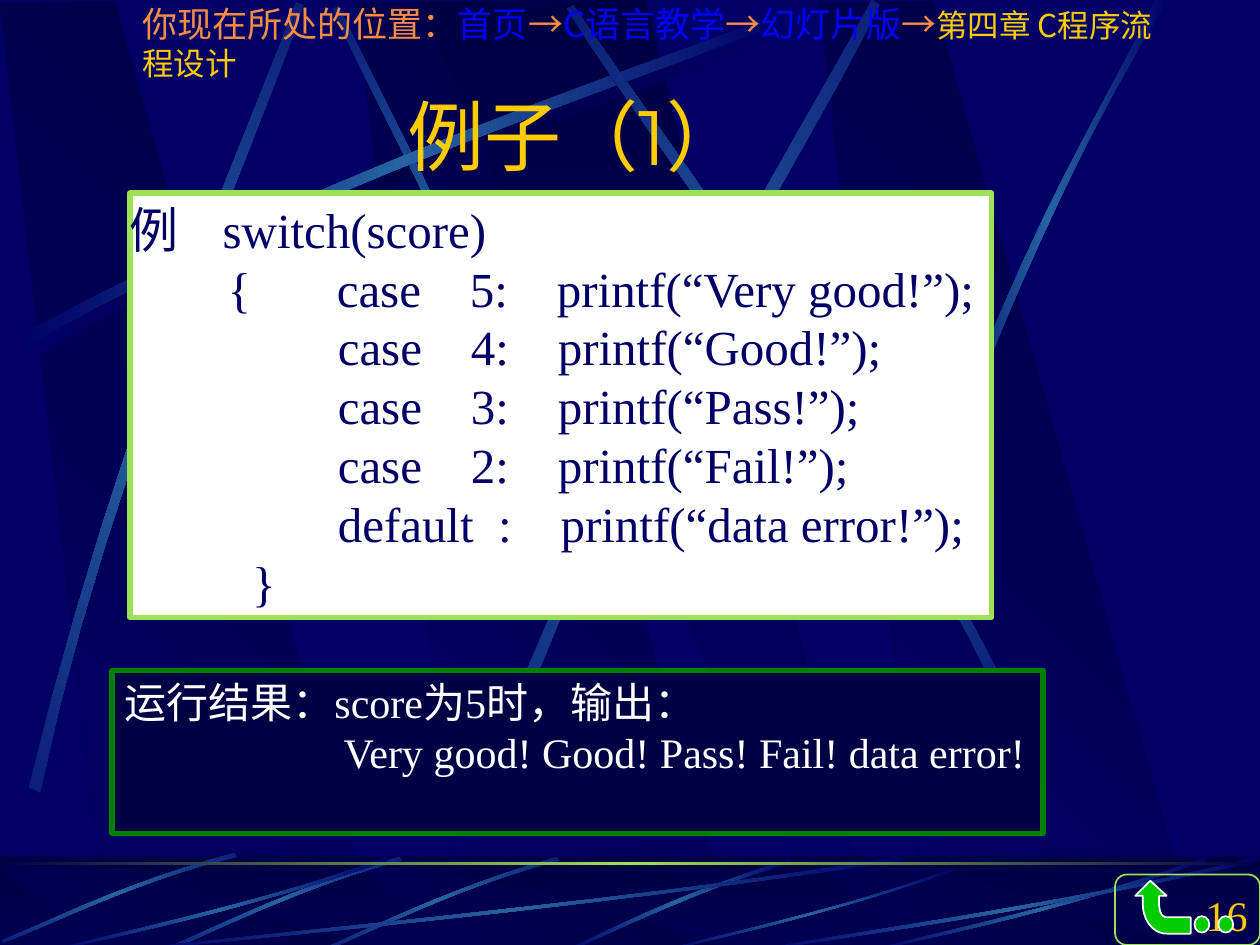
import math

import pptx
import pptx.dml.color
import pptx.enum.shapes
import pptx.enum.text
import pptx.oxml.ns
import pptx.util
from lxml import etree

Cm = pptx.util.Cm
Pt = pptx.util.Pt
qn = pptx.oxml.ns.qn
KIND = pptx.enum.shapes.MSO_SHAPE
ALIGN = pptx.enum.text.PP_ALIGN
ANCHOR = pptx.enum.text.MSO_ANCHOR

NAVY, DARK, BLUE = "000066", "000044", "2663A0"
GOLD, LIME, GREEN, WHITE = "FFCC00", "9CE157", "00CC00", "FFFFFF"
ORANGE, LINK = "F98D43", "0000FF"
SANS, SERIF = "Noto Sans CJK SC", "Times New Roman"
FADE, GLOW, SHADE = [DARK, NAVY], [NAVY, BLUE, NAVY], [NAVY, DARK, NAVY]

CRUMBS = [
    ("你现在所处的位置：", ORANGE, 20), ("首页", LINK, 20), ("→", ORANGE, 20),
    ("C语言教学", LINK, 20), ("→", ORANGE, 20), ("幻灯片版", LINK, 20),
    ("→", ORANGE, 20), ("第四章 C程序流程设计", GOLD, 18),
]
CODE = [
    "例    switch(score)",
    "        {       case    5:    printf(“Very good!”);",
    "                 case    4:    printf(“Good!”);",
    "                 case    3:    printf(“Pass!”);",
    "                 case    2:    printf(“Fail!”);",
    "                 default  :    printf(“data error!”);",
    "          }",
]
RESULT = ["运行结果：score为5时，输出：", "Very good! Good! Pass! Fail! data error!"]

# Outlines are in inches: a pair is a corner, six numbers are a curve.
BAND_X = [2.83, 0, 6.5]
BAND = [(0.86, 7.51), (3.02, 7.53), (0.91, 0.01), (0, 0.02)]
BEAM = [(3.33, 0.01), (6.58, 7.51), (6.94, 7.51), (5.13, 0)]
LOW_BAND = [(0.86, 7.54), (3.02, 7.55), (0.91, 6.88), (0, 6.88)]
LOW_BEAM = [(3.33, 6.88), (6.58, 7.54), (6.94, 7.54), (5.13, 6.88)]
RAYS = [  # colours, turn, outline
    (SHADE, 0, [(0.2, 2.75), (2.84, 1.34, 5.24, 0.59, 6.26, 0.18),
                (6.29, 0.24), (5.28, 0.69, 2.54, 1.51, 0.23, 2.85)]),
    (GLOW, 45, [(4.6, 4.36), (3.91, 2.34, 3.02, 0.77, 2.69, 0.05),
                (2.64, 0.07), (2.95, 0.79, 3.98, 2.58, 4.54, 4.39)]),
    (GLOW, 0, [(0.14, 2.67), (2.78, 1.25, 5.18, 0.51, 6.2, 0.1),
               (6.23, 0.16), (5.22, 0.61, 2.48, 1.43, 0.17, 2.77)]),
    (GLOW, 311.7, [(0.23, 6.25), (0.93, 3.34, 1.97, 1.05, 2.35, 0.02),
                   (2.41, 0.04), (2.07, 1.08, 0.86, 3.68, 0.32, 6.29)]),
    (GLOW, 321.6, [(3.85, 6.14), (4.98, 3.2, 6.38, 1.02, 6.92, 0),
                   (6.98, 0.04), (6.49, 1.08, 4.86, 3.55, 3.94, 6.21)]),
    (GLOW, 34.8, [(8.06, 5.6), (6.7, 2.93, 5.16, 0.95, 4.55, 0.04),
                  (4.5, 0.07), (5.07, 1.01, 6.85, 3.25, 7.99, 5.66)]),
    (GLOW, 0, [(7.38, 3.93), (8.14, 1.73, 8.88, 0.66, 9.17, 0),
               (9.27, 0), (8.36, 1.45, 7.69, 3.22, 7.44, 3.97)]),
]
LOW_RAYS = [
    (0, [(6.27, 6.82), (5.37, 7.09, 4.77, 7.42, 4.48, 7.54),
         (4.53, 7.55), (4.9, 7.37, 5.71, 7, 6.28, 6.85)]),
    (314.9, [(4.42, 6.8), (3.55, 7.05, 2.87, 7.4, 2.56, 7.53),
             (2.57, 7.55), (2.88, 7.43, 3.65, 7.03, 4.44, 6.83)]),
    (314.9, [(3.17, 6.8), (2.3, 7.05, 1.62, 7.4, 1.31, 7.53),
             (1.32, 7.55), (1.63, 7.43, 2.4, 7.03, 3.19, 6.83)]),
    (314.9, [(1.86, 6.77), (0.99, 7, 0.33, 7.34, 0.02, 7.46),
             (0.03, 7.48), (0.34, 7.37, 1.1, 6.98, 1.88, 6.8)]),
    (0, [(7.17, 6.83), (4.49, 7.23, 2.06, 7.44, 1.03, 7.55),
         (1, 7.54), (2.02, 7.41, 4.8, 7.18, 7.14, 6.8)]),
    (0, [(3.08, 6.83), (1.93, 7.23, 0.88, 7.44, 0.43, 7.55),
         (0.42, 7.54), (0.86, 7.41, 2.06, 7.18, 3.07, 6.8)]),
    (0, [(7.58, 6.91), (6.58, 7.26, 5.67, 7.45, 5.28, 7.55),
         (5.27, 7.54), (5.65, 7.43, 6.69, 7.22, 7.57, 6.89)]),
    (0, [(9.58, 6.83), (8.43, 7.23, 7.38, 7.44, 6.93, 7.55),
         (6.92, 7.54), (7.36, 7.41, 8.56, 7.18, 9.57, 6.8)]),
    (0, [(10, 6.83), (8.27, 7.23, 6.69, 7.44, 6.02, 7.55),
         (6, 7.54), (6.66, 7.41, 8.46, 7.18, 9.98, 6.8)]),
]
ARROW = [(9.45, 7.41), (9.26, 7.41), (9.15, 7.41, 9.07, 7.3, 9.07, 7.17),
         (9.07, 7.11), (9.01, 7.11), (9.13, 6.99), (9.26, 7.11), (9.2, 7.11),
         (9.2, 7.17), (9.2, 7.23, 9.22, 7.28, 9.26, 7.28), (9.45, 7.28)]


def hue(code):
    return pptx.dml.color.RGBColor.from_string(code)


def paint(shape, fill=None, angle=0, line=None, width=1, alpha=None):
    """Style a shape; a list of colours as fill makes a gradient."""
    shape.shadow.inherit = False
    if isinstance(fill, list):
        shape.fill.gradient()
        grad = shape.element.spPr.find(qn("a:gradFill"))
        stops = grad.find(qn("a:gsLst"))
        for stop in list(stops):
            stops.remove(stop)
        for i, code in enumerate(fill):
            pos = str(100000 * i // (len(fill) - 1))
            stop = etree.SubElement(stops, qn("a:gs"), pos=pos)
            etree.SubElement(stop, qn("a:srgbClr"), val=code)
        grad.find(qn("a:lin")).set("ang", str(angle * 60000))
    elif fill:
        shape.fill.solid()
        shape.fill.fore_color.rgb = hue(fill)
        if alpha:
            tint = shape.element.spPr.find(qn("a:solidFill"))[0]
            etree.SubElement(tint, qn("a:alpha"), val=str(alpha * 1000))
    else:
        shape.fill.background()
    if line:
        shape.line.color.rgb = hue(line)
        shape.line.width = Pt(width)
    else:
        shape.line.fill.background()


def box(slide, kind, place, **style):
    shape = slide.shapes.add_shape(kind, *map(Cm, place))
    paint(shape, **style)
    return shape


def spin(x, y, deg):
    a = math.radians(deg)
    return x * math.cos(a) - y * math.sin(a), x * math.sin(a) + y * math.cos(a)


def trace(parts, steps=12):
    """Turn corners and curves into a list of points."""
    pts = []
    for part in parts:
        if len(part) == 2:
            pts.append(part)
            continue
        ends = [pts[-1], part[:2], part[2:4], part[4:]]
        for i in range(1, steps + 1):
            t = i / steps
            mix = [(1 - t) ** 3, 3 * t * (1 - t) ** 2, 3 * t * t * (1 - t), t ** 3]
            pts.append(tuple(sum(m * e[k] for m, e in zip(mix, ends)) for k in (0, 1)))
    return pts


def draw(slide, parts, turn=0, **style):
    """Draw an outline as a freeform whose own frame is turned."""
    pts = [spin(x * 1000, y * 1000, -turn) for x, y in trace(parts)]
    pen = slide.shapes.build_freeform(*pts[0], scale=Cm(2.54) / 1000)
    pen.add_line_segments(pts[1:], close=True)
    shape = pen.convert_to_shape()
    w, h = shape.width, shape.height
    x, y = spin(shape.left + w / 2, shape.top + h / 2, turn)
    shape.left, shape.top = round(x - w / 2), round(y - h / 2)
    shape.rotation = turn
    paint(shape, **style)


def write(shape, lines, font=SERIF, size=24, color=WHITE, align=ALIGN.LEFT,
          anchor=ANCHOR.TOP, left=0.25, right=0.25, pitch=1.2):
    """Fill a shape; a line is a string or a list of (text, colour, size)."""
    frame = shape.text_frame
    frame.word_wrap = True
    frame.vertical_anchor = anchor
    frame.margin_left, frame.margin_right = Cm(left), Cm(right)
    frame.margin_top = frame.margin_bottom = Cm(0.13)
    for i, line in enumerate(lines):
        para = frame.add_paragraph() if i else frame.paragraphs[0]
        para.alignment = align
        para.line_spacing = Pt(round(size * pitch, 1))
        para.space_before = para.space_after = Pt(0)
        for text, code, pts in [(line, color, size)] if isinstance(line, str) else line:
            run = para.add_run()
            run.text = text
            run.font.size, run.font.name = Pt(pts), font
            run.font.color.rgb = hue(code)
            etree.SubElement(run.font._element, qn("a:ea"), typeface=SANS)


def main():
    deck = pptx.Presentation()
    deck.slide_width, deck.slide_height = Cm(25.4), Cm(19.05)
    slide = deck.slides.add_slide(deck.slide_layouts[5])
    slide.background.fill.solid()
    slide.background.fill.fore_color.rgb = hue(NAVY)

    def bands(band, beam):
        for dx in BAND_X:
            draw(slide, [(x + dx, y) for x, y in band], fill=FADE, angle=135)
        draw(slide, beam, fill=FADE, angle=90)

    bands(BAND, BEAM)
    for fill, turn, parts in RAYS:
        draw(slide, parts, turn, fill=fill, angle=180)
    box(slide, KIND.RECTANGLE, (0, 17.27, 25.4, 1.9), fill=FADE, angle=90)
    bands(LOW_BAND, LOW_BEAM)
    box(slide, KIND.RECTANGLE, (0, 17.25, 25.4, 1.9), fill=DARK, alpha=50)
    for turn, parts in LOW_RAYS:
        draw(slide, parts, turn, fill=GLOW, angle=180)
    box(slide, KIND.RECTANGLE, (0, 17.37, 25.4, 0.06), fill=[DARK, LIME, DARK], angle=180)

    crumb = slide.shapes.add_textbox(*map(Cm, (2.62, 0, 21.18, 1.12)))
    write(crumb, [CRUMBS], font=SANS, size=18)
    page = slide.shapes.add_textbox(*map(Cm, (22.86, 17.81, 2.54, 1.27)))
    write(page, ["16"], color=GOLD, align=ALIGN.RIGHT, anchor=ANCHOR.BOTTOM)
    code = box(slide, KIND.RECTANGLE, (2.62, 3.89, 17.37, 8.56), fill=WHITE, line=LIME, width=3)
    write(code, CODE, size=28, color=NAVY, left=0, right=0)
    result = box(slide, KIND.RECTANGLE, (2.26, 13.51, 18.77, 3.3), fill=DARK, line="008000", width=3)
    write(result, RESULT)
    result.text_frame.paragraphs[1]._p.get_or_add_pPr().set("marL", str(Cm(4.42)))

    title = slide.shapes.title
    title.left, title.top, title.width, title.height = map(Cm, (1.9, 1.65, 19.41, 2.13))
    write(title, ["例子（1）"], font="Montserrat", size=44, color=GOLD,
          align=ALIGN.CENTER, anchor=ANCHOR.MIDDLE)
    slide.shapes.element.append(title.element)  # in front of the backdrop

    box(slide, KIND.ROUNDED_RECTANGLE, (22.48, 17.63, 2.92, 1.42), line=LIME)
    draw(slide, ARROW, 270, fill=GREEN, line=WHITE)
    for x in (24.08, 24.56):
        box(slide, KIND.OVAL, (x, 18.47, 0.3, 0.33), fill=GREEN, line=WHITE)
    deck.save("out.pptx")


if __name__ == "__main__":
    main()
